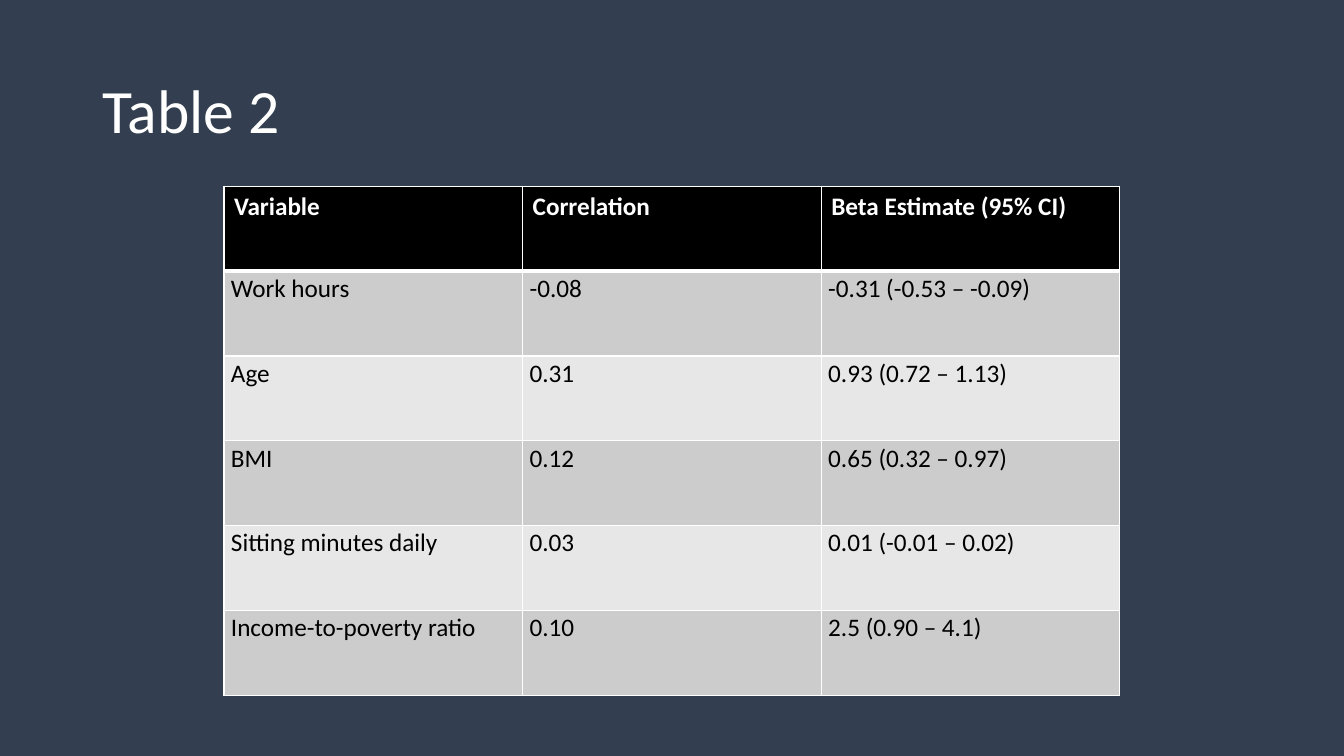
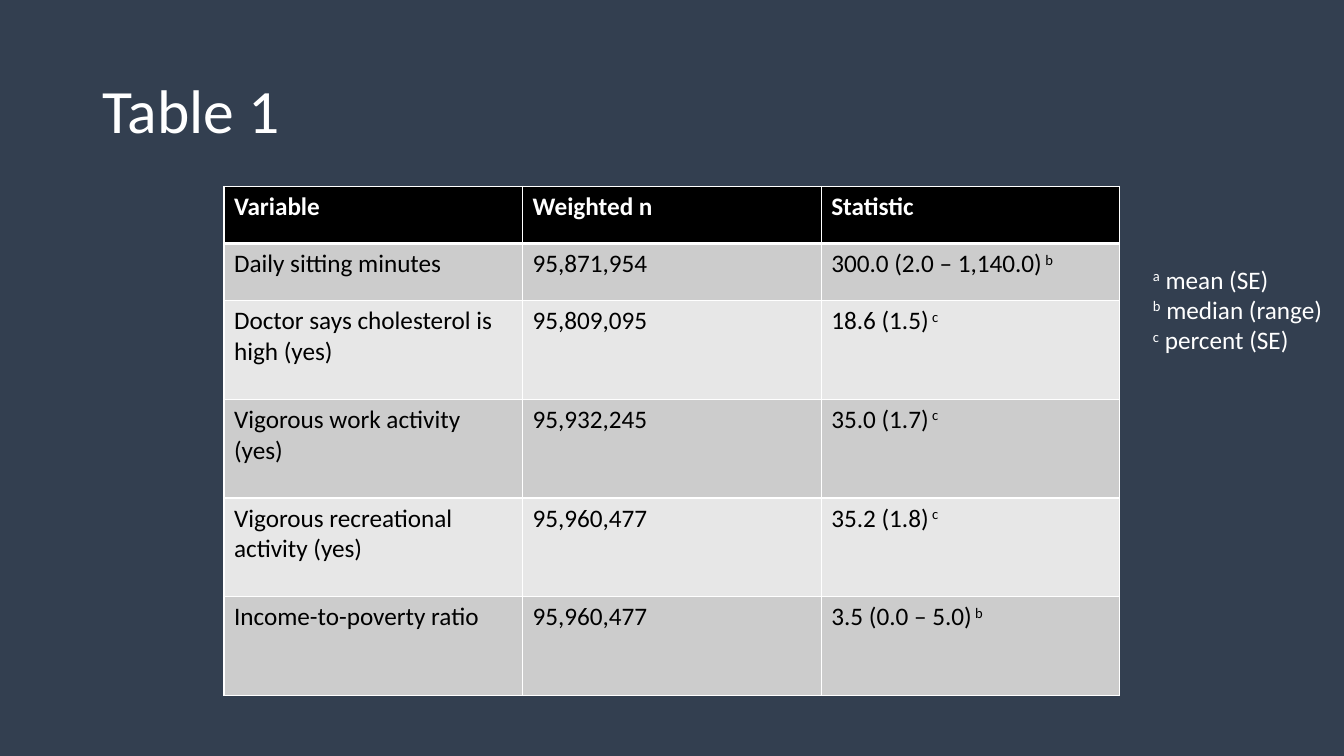
from dataclasses import dataclass

import lxml.etree
import pptx
import pptx.dml.color
import pptx.enum.text
import pptx.oxml.ns
import pptx.presentation
import pptx.slide
import pptx.table
import pptx.text.text
import pptx.util

Pt = pptx.util.Pt
qn = pptx.oxml.ns.qn

COLORS = {
    "background": "333F50",
    "light": "FFFFFF",
    "dark": "000000",
    "band_odd": "CCCCCC",
    "band_even": "E7E7E7",
}
FONT = "Calibri"
RAISED_MARK = "^"
TABLE_LEFT, TABLE_TOP, TABLE_WIDTH = 160, 133.2, 640


@dataclass(frozen=True)
class TableSlide:
    title: str
    rows: list[tuple[str, ...]]
    heights: list[float]
    body_margins: tuple[float, float] = (7.2, 3.6)
    body_spacing: float = 1.0
    notes: tuple[str, ...] = ()


TABLE_SLIDES = [
    TableSlide(
        title="Table 2",
        rows=[
            ("Variable", "Correlation", "Beta Estimate (95% CI)"),
            ("Work hours", "-0.08", "-0.31 (-0.53 – -0.09)"),
            ("Age", "0.31", "0.93 (0.72 – 1.13)"),
            ("BMI", "0.12", "0.65 (0.32 – 0.97)"),
            ("Sitting minutes daily", "0.03", "0.01 (-0.01 – 0.02)"),
            ("Income-to-poverty ratio", "0.10", "2.5 (0.90 – 4.1)"),
        ],
        heights=[60.6] * 6,
        body_margins=(5, 0),
        body_spacing=1.07,
    ),
    TableSlide(
        title="Table 1",
        rows=[
            ("Variable", "Weighted n", "Statistic"),
            ("Daily sitting minutes", "95,871,954", "300.0 (2.0 – 1,140.0)^ b^"),
            ("Doctor says cholesterol is high (yes)", "95,809,095", "18.6 (1.5)^ c^"),
            ("Vigorous work activity (yes)", "95,932,245", "35.0 (1.7)^ c^"),
            ("Vigorous recreational activity (yes)", "95,960,477", "35.2 (1.8)^ c^"),
            ("Income-to-poverty ratio", "95,960,477", "3.5 (0.0 – 5.0)^ b^"),
        ],
        heights=[40.8] * 2 + [70.5] * 4,
        notes=("^a^ mean (SE)", "^b^ median (range)", "^c^ percent (SE)"),
    ),
]


def rgb(name: str) -> pptx.dml.color.RGBColor:
    return pptx.dml.color.RGBColor.from_string(COLORS[name])


def write_text(
    para: pptx.text.text._Paragraph,
    text: str,
    *,
    size: float = 18,
    color: str = "light",
    bold: bool = False,
    spacing: float = 1.0,
) -> None:
    para.alignment = pptx.enum.text.PP_ALIGN.LEFT
    para.line_spacing = spacing
    for index, part in enumerate(text.split(RAISED_MARK)):
        if not part:
            continue
        span = para.add_run()
        span.text = part
        span.font.name = FONT
        span.font.size = Pt(size)
        span.font.bold = bold
        span.font.color.rgb = rgb(color)
        if index % 2:
            span.font._element.set("baseline", "30000")


def set_borders(cell: pptx.table._Cell, *, top: float = 1, bottom: float = 1) -> None:
    properties = cell._tc.get_or_add_tcPr()
    for side, width in {"lnL": 1, "lnR": 1, "lnT": top, "lnB": bottom}.items():
        line = lxml.etree.SubElement(properties, qn(f"a:{side}"), w=str(int(Pt(width))))
        fill = lxml.etree.SubElement(line, qn("a:solidFill"))
        lxml.etree.SubElement(fill, qn("a:srgbClr"), val=COLORS["light"])


def set_title(page: pptx.slide.Slide, text: str) -> None:
    title = page.shapes.title
    title.left, title.top, title.width, title.height = Pt(66), Pt(28.75), Pt(828), Pt(104.4)
    frame = title.text_frame
    frame.auto_size = pptx.enum.text.MSO_AUTO_SIZE.NONE
    frame.vertical_anchor = pptx.enum.text.MSO_ANCHOR.MIDDLE
    write_text(frame.paragraphs[0], text, size=44, spacing=0.9)


def add_data_table(page: pptx.slide.Slide, content: TableSlide) -> None:
    column_count = len(content.rows[0])
    table = page.shapes.add_table(
        len(content.rows), column_count,
        Pt(TABLE_LEFT), Pt(TABLE_TOP), Pt(TABLE_WIDTH), Pt(sum(content.heights)),
    ).table
    for column in table.columns:
        column.width = Pt(TABLE_WIDTH / column_count)
    for row_index, (texts, height) in enumerate(zip(content.rows, content.heights)):
        table.rows[row_index].height = Pt(height)
        header = row_index == 0
        band = "dark" if header else "band_odd" if row_index % 2 else "band_even"
        for column_index, text in enumerate(texts):
            cell = table.cell(row_index, column_index)
            set_borders(cell, top=3 if row_index == 1 else 1, bottom=3 if header else 1)
            cell.fill.solid()
            cell.fill.fore_color.rgb = rgb(band)
            side, edge = (7.2, 3.6) if header else content.body_margins
            cell.margin_left = cell.margin_right = Pt(side)
            cell.margin_top = cell.margin_bottom = Pt(edge)
            write_text(
                cell.text_frame.paragraphs[0], text,
                color="light" if header else "dark", bold=header,
                spacing=1.0 if header else content.body_spacing,
            )


def add_notes_box(page: pptx.slide.Slide, notes: tuple[str, ...]) -> None:
    box = page.shapes.add_textbox(Pt(816.5), Pt(185), Pt(143.5), Pt(72.7))
    frame = box.text_frame
    frame.word_wrap = True
    frame.auto_size = pptx.enum.text.MSO_AUTO_SIZE.SHAPE_TO_FIT_TEXT
    for index, note in enumerate(notes):
        para = frame.add_paragraph() if index else frame.paragraphs[0]
        write_text(para, note)


def add_table_slide(deck: pptx.presentation.Presentation, content: TableSlide) -> None:
    page = deck.slides.add_slide(deck.slide_layouts.get_by_name("Title Only"))
    set_title(page, content.title)
    add_data_table(page, content)
    if content.notes:
        add_notes_box(page, content.notes)


def main() -> None:
    deck = pptx.Presentation()
    deck.slide_width, deck.slide_height = Pt(960), Pt(540)
    background = deck.slide_master.background.fill
    background.solid()
    background.fore_color.rgb = rgb("background")
    for content in TABLE_SLIDES:
        add_table_slide(deck, content)
    deck.save("out.pptx")


if __name__ == "__main__":
    main()
